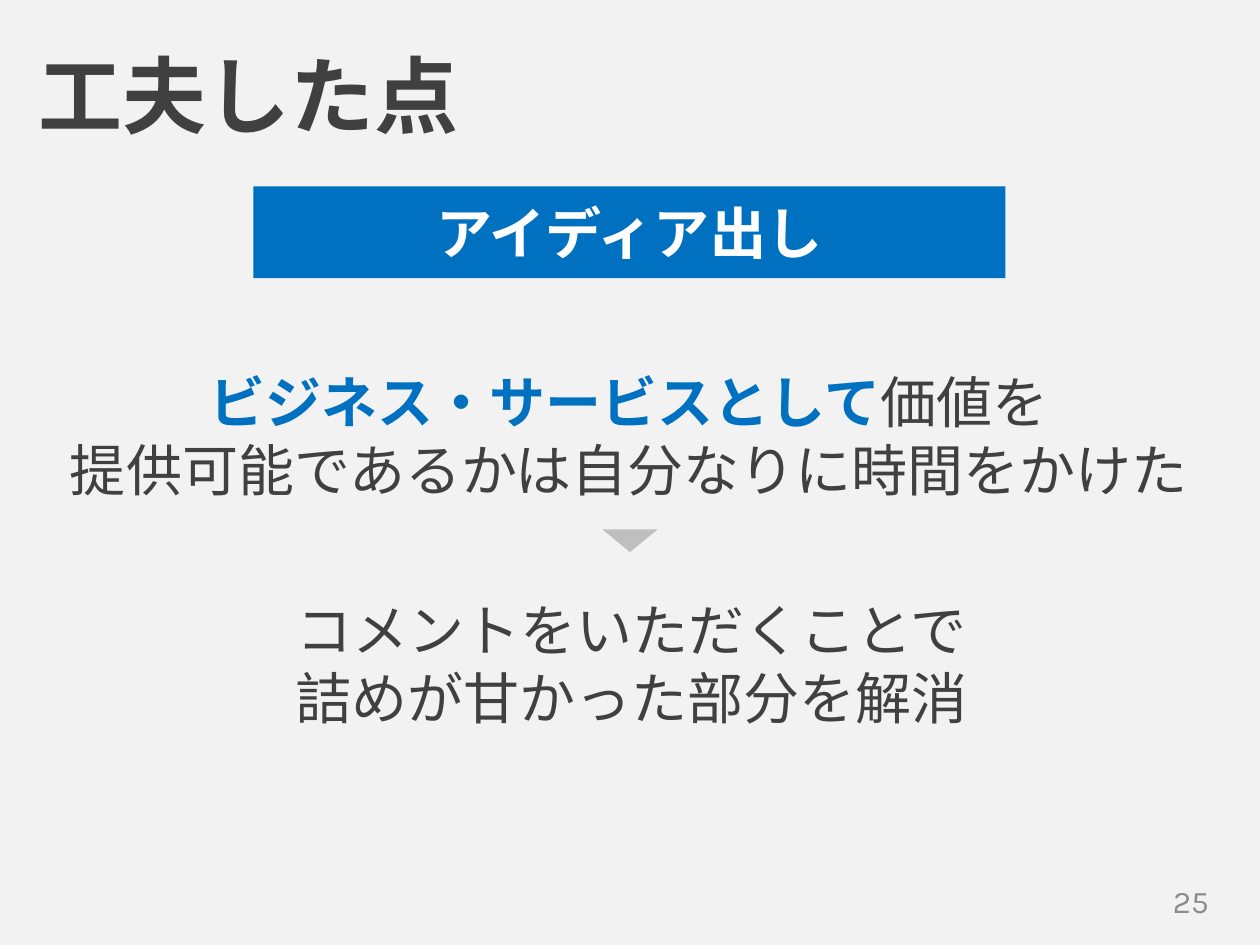
from dataclasses import dataclass

import pptx
import pptx.dml.color
import pptx.enum.shapes
import pptx.enum.text
import pptx.oxml
import pptx.oxml.ns
import pptx.util
from pptx.util import Cm

FONT = "Karla"
DARK = "404040"
BLUE = "0070C0"
ALIGN = pptx.enum.text.PP_ALIGN
ANCHOR = pptx.enum.text.MSO_ANCHOR
SHAPE = pptx.enum.shapes.MSO_SHAPE


@dataclass
class Span:
    text: str
    color: str = DARK
    bold: bool = False


@dataclass
class Message:
    left: float
    top: float
    lines: list[list[Span]]


def color(value: str) -> pptx.dml.color.RGBColor:
    return pptx.dml.color.RGBColor.from_string(value)


def style(font, shade: str, bold: bool) -> None:
    font.color.rgb = color(shade)
    font.bold = bold


def write(frame, lines: list[list[Span]], size: int, align, anchor=ANCHOR.TOP) -> None:
    frame.word_wrap = True
    frame.auto_size = pptx.enum.text.MSO_AUTO_SIZE.NONE
    frame.vertical_anchor = anchor
    for index, spans in enumerate(lines):
        para = frame.add_paragraph() if index else frame.paragraphs[0]
        para.alignment = align
        para.font.name = FONT
        para.font.size = pptx.util.Pt(size)
        style(para.font, spans[0].color, spans[0].bold)
        defaults = para._p.find(".//" + pptx.oxml.ns.qn("a:defRPr"))
        east_asian = pptx.oxml.parse_xml(
            f'<a:ea {pptx.oxml.ns.nsdecls("a")} typeface="{FONT}"/>'
        )
        defaults.append(east_asian)
        for span in spans:
            run = para.add_run()
            run.text = span.text
            if len(spans) > 1:
                style(run.font, span.color, span.bold)


def add_block(page, kind, left: float, top: float, width: float, height: float, fill: str):
    block = page.shapes.add_shape(kind, Cm(left), Cm(top), Cm(width), Cm(height))
    block.shadow.inherit = False
    block.fill.solid()
    block.fill.fore_color.rgb = color(fill)
    block.line.fill.background()
    return block


def add_message(page, message: Message) -> None:
    box = page.shapes.add_textbox(Cm(message.left), Cm(message.top), Cm(23.29), Cm(3))
    write(box.text_frame, message.lines, 32, ALIGN.CENTER)


MESSAGES = [
    Message(1.04, 7.29, [
        [Span("ビジネス・サービスとして", BLUE, True), Span("価値を")],
        [Span("提供可能であるかは自分なりに時間をかけた")],
    ]),
    Message(1.09, 11.89, [
        [Span("コメントをいただくことで")],
        [Span("詰めが甘かった部分を解消")],
    ]),
]

deck = pptx.Presentation()
deck.slide_width, deck.slide_height = Cm(25.4), Cm(19.05)
page = deck.slides.add_slide(deck.slide_layouts[5])
page.background.fill.solid()
page.background.fill.fore_color.rgb = color("F2F2F2")

title = page.shapes.title
title.left, title.top, title.width, title.height = Cm(0.53), Cm(0.76), Cm(11.13), Cm(2.31)
write(title.text_frame, [[Span("工夫した点", DARK, True)]], 48, ALIGN.LEFT)

number = page.shapes.add_textbox(Cm(18.9), Cm(17.65), Cm(5.72), Cm(1.02))
write(number.text_frame, [[Span("25", "8C8C8C")]], 18, ALIGN.RIGHT, ANCHOR.MIDDLE)

for message in MESSAGES:
    add_message(page, message)

arrow = add_block(page, SHAPE.ISOSCELES_TRIANGLE, 12.14, 10.67, 1.12, 0.46, "BFBFBF")
arrow.rotation = 180

banner = add_block(page, SHAPE.RECTANGLE, 5.11, 3.76, 15.16, 1.85, BLUE)
write(banner.text_frame, [[Span("アイディア出し", "FFFFFF", True)]], 32, ALIGN.CENTER, ANCHOR.MIDDLE)

deck.save("out.pptx")
